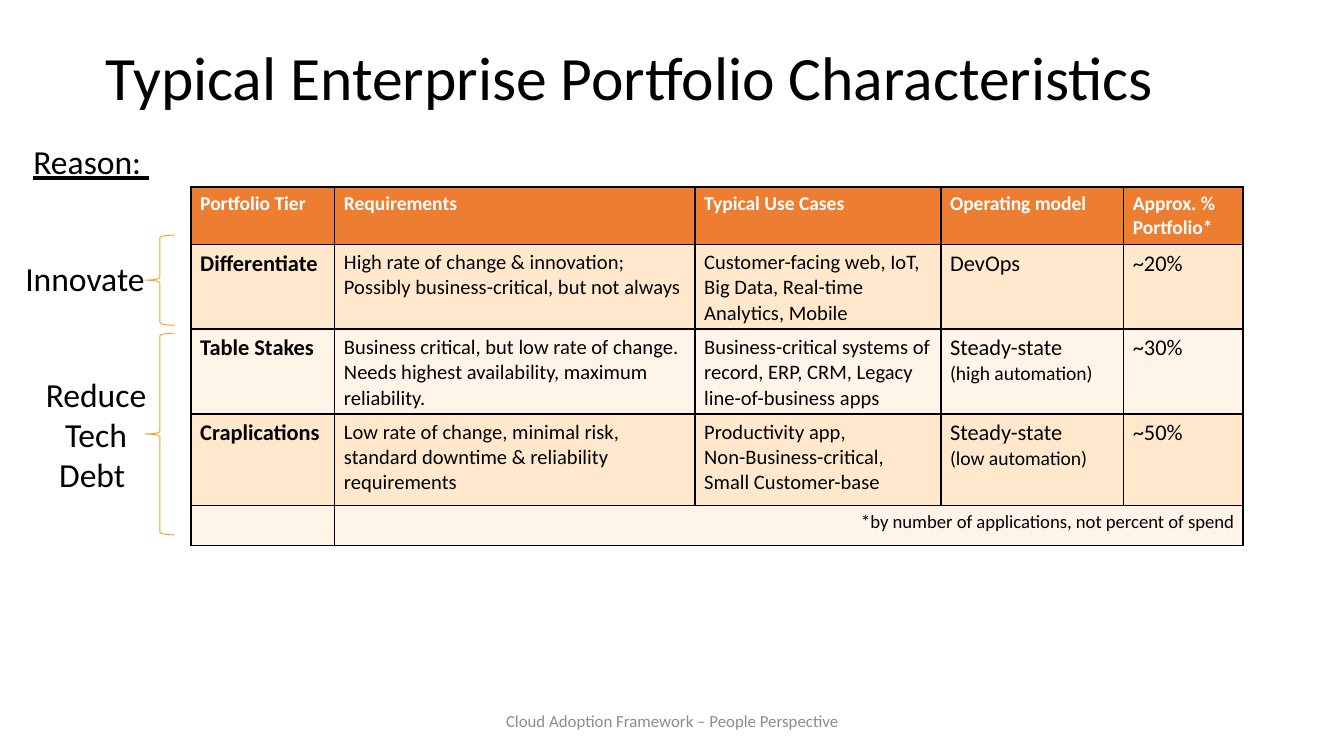
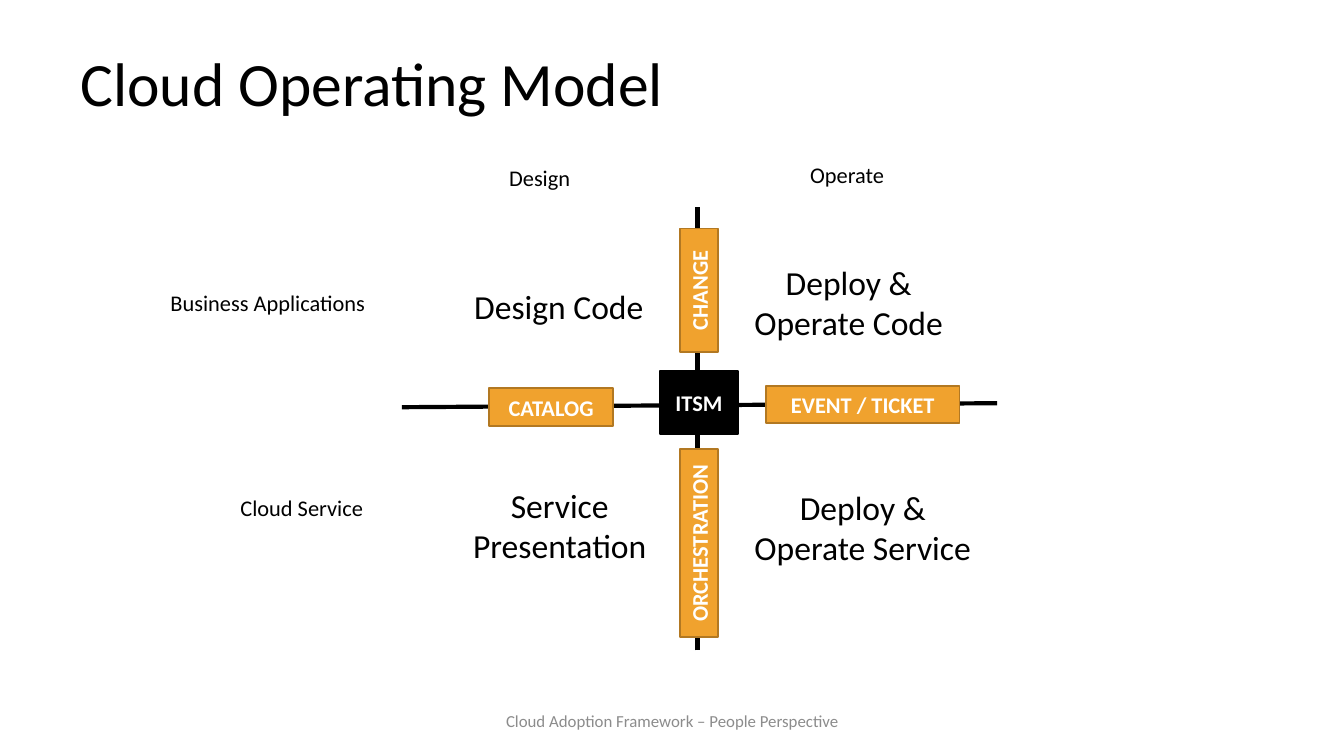
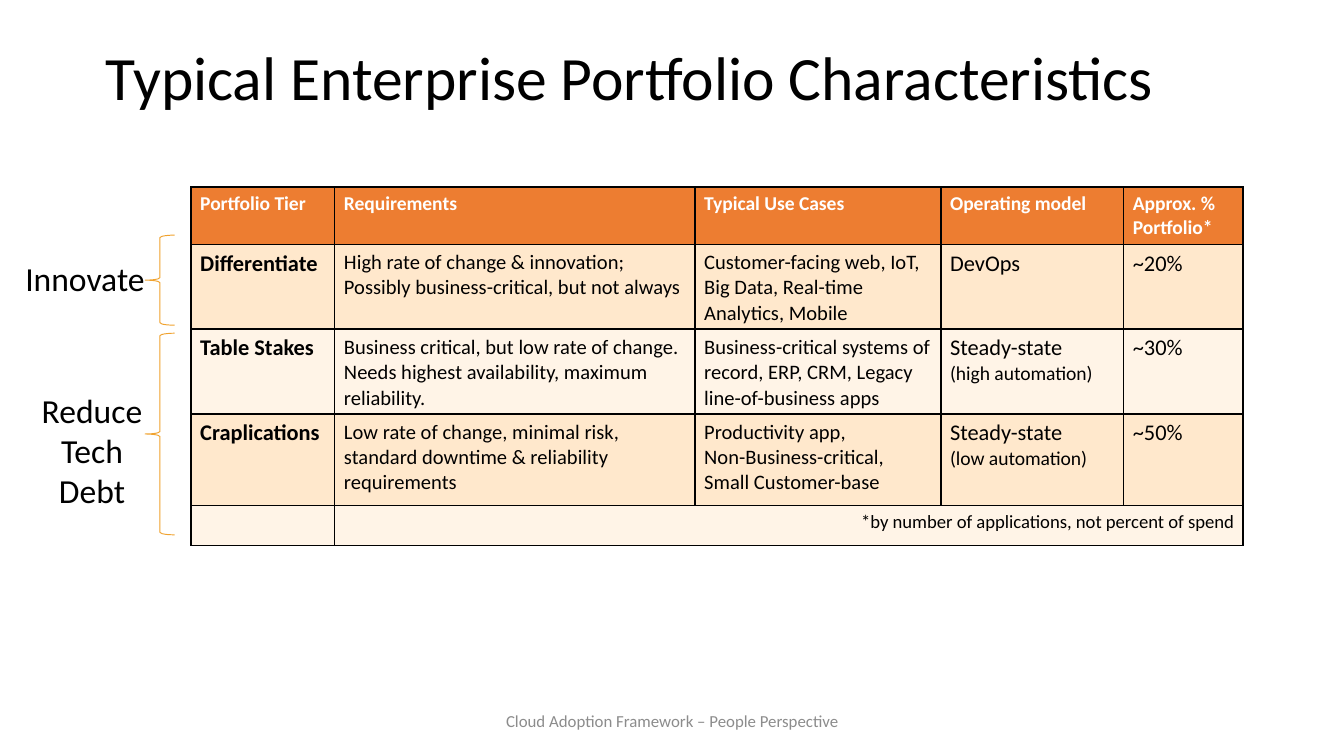
from lxml import etree
from pptx import Presentation
from pptx import util as u
from pptx.dml.color import RGBColor
from pptx.enum import shapes, text
from pptx.oxml import ns

BLACK, WHITE, GREY = "000000", "FFFFFF", "8C8C8C"
AMBER, AMBER_DARK = "F0A22E", "B27822"
HEADER, BAND_DARK, BAND_LIGHT = "ED7D31", "FFE8CC", "FFF4E7"
LEFT, CENTER, RIGHT = text.PP_ALIGN.LEFT, text.PP_ALIGN.CENTER, text.PP_ALIGN.RIGHT


def rgb(value):
    return RGBColor.from_string(value)


def write(tf, lines, size, color=BLACK, align=LEFT, spacing=None, **font):
    """Fill a text frame, one paragraph per line; bracketed lines are smaller."""
    for i, line in enumerate(lines.split("\n")):
        p = tf.paragraphs[0] if i == 0 else tf.add_paragraph()
        p.alignment, p.line_spacing = align, spacing
        r = p.add_run()
        r.text = line
        r.font.color.rgb = rgb(color)
        fmt = {"name": "Calibri", "size": u.Pt(10.5 if line.startswith("(") else size)}
        for key, value in {**fmt, **font}.items():
            setattr(r.font, key, value)


prs = Presentation()
prs.slide_width = u.Inches(10)
prs.slide_height = prs.slide_width * 9 // 16
portfolio, model, portfolio_again = slides = [
    prs.slides.add_slide(prs.slide_layouts[6]) for _ in range(3)]

# Axes of the operating model, behind everything else
for ends in [(2.99, 3.03, 7.42, 3), (5.19, 4.84, 5.19, 1.54)]:
    axis = model.shapes.add_connector(
        shapes.MSO_CONNECTOR.STRAIGHT, *map(u.Inches, ends))
    axis.line.color.rgb, axis.line.width = rgb(BLACK), u.Pt(2.25)
    etree.SubElement(axis._element.spPr, ns.qn("a:effectLst"))

# Titles and footers
titles = [("Typical Enterprise Portfolio Characteristics", 0.69, 0.3),
          ("Cloud Operating Model", 0.5, 0.35),
          ("Typical Enterprise Portfolio Characteristics", 0.69, 0.3)]
for s, (title, x, y) in zip(slides, titles):
    tf = s.shapes.add_textbox(*map(u.Inches, (x, y, 8.62, 1.09))).text_frame
    tf.word_wrap = True
    write(tf, title, 33, spacing=0.9)
    tf = s.shapes.add_textbox(*map(u.Inches, (3.31, 5.21, 3.38, 0.3))).text_frame
    tf.word_wrap, tf.vertical_anchor = True, text.MSO_ANCHOR.MIDDLE
    write(tf, "Cloud Adoption Framework – People Perspective", 9, GREY, CENTER)

# Labels: slide, text, box, size, wrap, format
labels = [
    (portfolio, "Innovate", (0.09, 1.87, 1.17, 0.4), 18, True, {}),
    (portfolio, "Reduce Tech Debt ", (0.13, 2.73, 1.17, 1.01), 18, True, {"align": CENTER}),
    (portfolio, "Reason: ", (0.15, 1, 1.12, 0.4), 18, True, {"underline": True}),
    (portfolio_again, "Innovate", (0.09, 1.87, 1.17, 0.4), 18, True, {}),
    (portfolio_again, "Reduce Tech Debt", (0.1, 2.85, 1.17, 1.01), 18, True, {"align": CENTER}),
    (model, "Business Applications", (1.17, 2.1, 1.67, 0.3), 12, False, {}),
    (model, "Cloud Service", (1.69, 3.63, 1.12, 0.3), 12, False, {}),
    (model, "Design", (3.69, 1.17, 0.66, 0.3), 12, False, {}),
    (model, "Operate", (5.93, 1.15, 0.76, 0.3), 12, False, {}),
    (model, "Design Code", (3.43, 2.08, 1.48, 0.4), 18, False, {}),
    (model, "Service Presentation", (3.22, 3.56, 1.89, 0.71), 18, True, {"align": CENTER}),
    (model, "Deploy & Operate Service", (5.42, 3.57, 2, 0.71), 18, True, {"align": CENTER}),
    (model, "Deploy & Operate Code", (5.35, 1.9, 1.93, 0.71), 18, True, {"align": CENTER}),
]
for s, label, box, size, wrap, fmt in labels:
    tf = s.shapes.add_textbox(*map(u.Inches, box)).text_frame
    tf.word_wrap, tf.auto_size = wrap, text.MSO_AUTO_SIZE.SHAPE_TO_FIT_TEXT
    write(tf, label, size, **fmt)

# Portfolio table and its braces
widths = [1.07, 2.68, 1.83, 1.36, 0.89]
heights = [0.41, 0.59, 0.6, 0.68, 0.3]
body_sizes = [12, 11, 11, 12, 12]
fills = [HEADER, BAND_DARK, BAND_LIGHT, BAND_DARK, BAND_LIGHT]
rows = [
    ["Portfolio Tier", "Requirements", "Typical Use Cases", "Operating model",
     "Approx. % Portfolio*"],
    ["Differentiate",
     "High rate of change & innovation; Possibly business-critical, but not always",
     "Customer-facing web, IoT, Big Data, Real-time Analytics, Mobile",
     "DevOps", "~20%"],
    ["Table Stakes",
     "Business critical, but low rate of change. Needs highest availability, "
     "maximum reliability.",
     "Business-critical systems of record, ERP, CRM, Legacy line-of-business apps",
     "Steady-state\n(high automation)", "~30%"],
    ["Craplications",
     "Low rate of change, minimal risk, standard downtime & reliability requirements",
     "Productivity app,\nNon-Business-critical, Small Customer-base",
     "Steady-state\n(low automation)", "~50%"],
    ["", "*by number of applications, not percent of spend", "", "", ""],
]
last = len(rows) - 1
for s in (portfolio, portfolio_again):
    for y, h in [(2.48, 1.5), (1.75, 0.67)]:
        brace = s.shapes.add_shape(
            shapes.MSO_SHAPE.LEFT_BRACE, *map(u.Inches, (1.08, y, 0.22, h)))
        brace.shadow.inherit = False
        brace.fill.background()
        brace.line.color.rgb, brace.line.width = rgb(AMBER), u.Pt(0.5)

    table = s.shapes.add_table(
        len(rows), len(widths),
        *map(u.Inches, (1.42, 1.39, sum(widths), sum(heights)))).table
    table.first_row = table.horz_banding = False
    for col, width in zip(table.columns, widths):
        col.width = u.Inches(width)
    for i, (row, height) in enumerate(zip(rows, heights)):
        table.rows[i].height = u.Inches(height)
        for j, words in enumerate(row):
            cell = table.cell(i, j)
            cell.margin_left = cell.margin_right = u.Inches(0.07)
            cell.margin_top = cell.margin_bottom = u.Inches(0.04)
            cell.fill.solid()
            cell.fill.fore_color.rgb = rgb(fills[i])
            tcPr = cell._tc.get_or_add_tcPr()
            for k, side in enumerate(("lnL", "lnR", "lnT", "lnB")):
                ln = etree.Element(ns.qn("a:" + side), w=str(u.Pt(1)))
                fill = etree.SubElement(ln, ns.qn("a:solidFill"))
                etree.SubElement(fill, ns.qn("a:srgbClr"), val=BLACK)
                tcPr.insert(k, ln)
            if not words:
                end = cell.text_frame.paragraphs[0]._p.get_or_add_endParaRPr()
                end.set("sz", "1000")
            elif i == 0:
                write(cell.text_frame, words, 10.5, WHITE, bold=True)
            elif i == last:
                write(cell.text_frame, words, 10, align=RIGHT)
            else:
                write(cell.text_frame, words, body_sizes[j], bold=j == 0)
    table.cell(last, 1).merge(table.cell(last, len(widths) - 1))

# Hub and processes on the axes of the operating model
blocks = [
    ("ITSM", (4.91, 2.76, 0.58, 0.47), 0, BLACK, BLACK),
    ("CATALOG", (3.64, 2.89, 0.92, 0.28), 0, AMBER, AMBER_DARK),
    ("ORCHESTRATION", (4.5, 3.9, 1.4, 0.28), 270, AMBER, AMBER_DARK),
    ("EVENT / TICKET", (5.7, 2.87, 1.44, 0.28), 0, AMBER, AMBER_DARK),
    ("CHANGE", (4.74, 2.02, 0.92, 0.28), 270, AMBER, AMBER_DARK),
]
for name, box, rotation, fill, outline in blocks:
    sp = model.shapes.add_shape(shapes.MSO_SHAPE.RECTANGLE, *map(u.Inches, box))
    sp.shadow.inherit = False
    sp.rotation = rotation
    sp.fill.solid()
    sp.fill.fore_color.rgb = rgb(fill)
    sp.line.color.rgb, sp.line.width = rgb(outline), u.Pt(1)
    tf = sp.text_frame
    tf.margin_left = tf.margin_right = u.Inches(0.05)
    tf.vertical_anchor = text.MSO_ANCHOR.MIDDLE
    write(tf, name, 12, WHITE, CENTER, bold=True)

prs.save("out.pptx")
